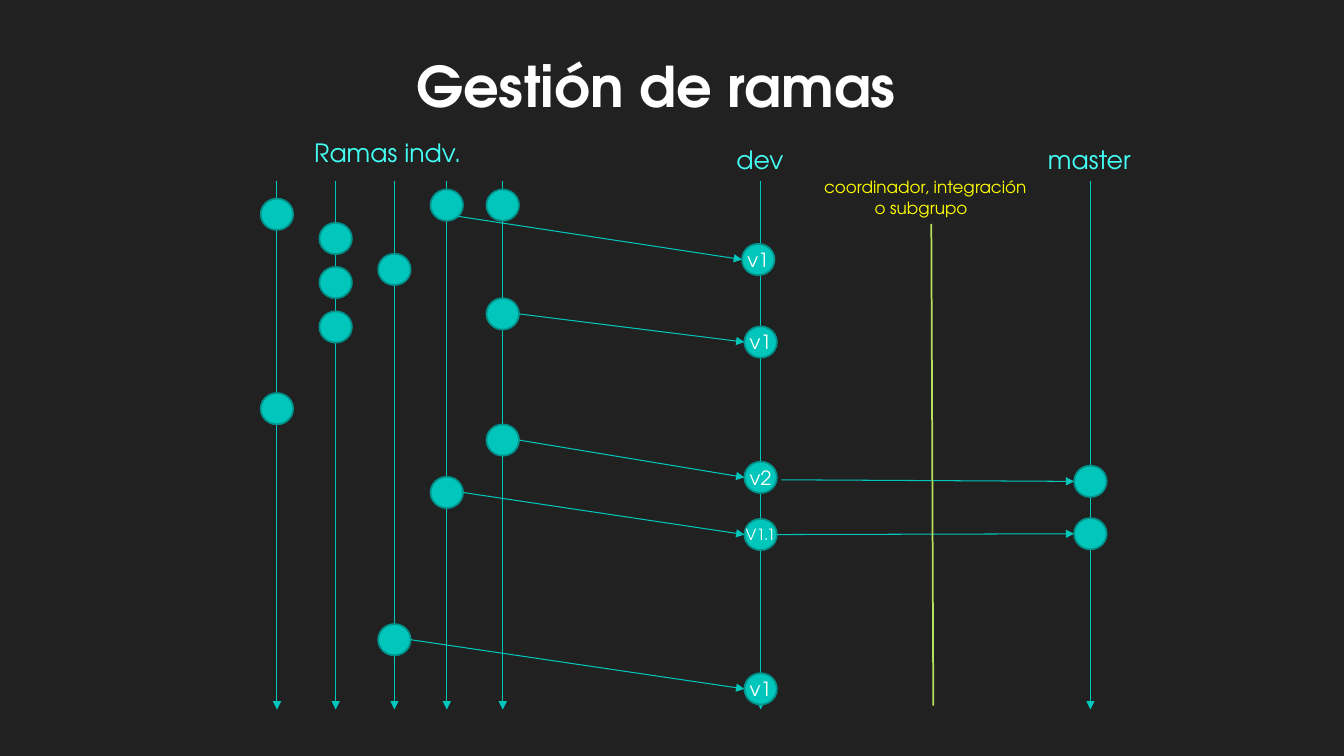
"""Build the branch management slide: parallel branches, commits and merges."""
from typing import NamedTuple

from lxml import etree
from pptx import Presentation
from pptx.dml.color import RGBColor
from pptx.enum.shapes import MSO_CONNECTOR, MSO_SHAPE
from pptx.enum.text import MSO_ANCHOR, MSO_AUTO_SIZE, PP_ALIGN
from pptx.oxml.ns import qn
from pptx.util import Cm, Pt

FONT = "TeX Gyre Adventor"
COLORS = {
    "background": "212121",
    "white": "FFFFFF",
    "branch": "00C6BB",
    "outline": "00928A",
    "heading": "44FFF5",
    "note": "FFFF00",
    "divider": "B6DF5E",
}
BRANCH_X = {"a": 6.98, "b": 8.46, "c": 9.94, "d": 11.26, "e": 12.67,
            "dev": 19.17, "master": 27.48}
BRANCH_TOP, BRANCH_BOTTOM = 4.55, 17.88
COMMIT_W, COMMIT_H = 0.82, 0.79


class Label(NamedTuple):
    lines: tuple[str, ...]
    left: float
    top: float
    width: float
    height: float
    size: int
    color: str
    bold: bool = False
    second_indent: float = 0


class Commit(NamedTuple):
    branch: str
    y: float
    version: str = ""
    size: int = 14
    shift: float = 0

    @property
    def x(self) -> float:
        return BRANCH_X[self.branch] + self.shift


class Merge(NamedTuple):
    source: Commit
    target: Commit
    start_dx: float = COMMIT_W / 2
    start_dy: float = 0


D_FIRST, D_SECOND = Commit("d", 5.17), Commit("d", 12.41)
E_SECOND, E_THIRD = Commit("e", 7.91), Commit("e", 11.09)
C_LAST = Commit("c", 16.12)
DEV = [
    Commit("dev", 6.54, "v1", shift=-0.06),
    Commit("dev", 8.62, "v1"),
    Commit("dev", 12.03, "v2"),
    Commit("dev", 13.47, "V1.1", size=11),
    Commit("dev", 17.36, "v1"),
]
MASTER = [Commit("master", 12.13), Commit("master", 13.45)]
COMMITS = [
    Commit("a", 5.4), Commit("a", 10.3),
    Commit("b", 6.01), Commit("b", 7.12), Commit("b", 8.24),
    Commit("c", 6.79), C_LAST,
    D_FIRST, D_SECOND,
    Commit("e", 5.17), E_SECOND, E_THIRD,
    *DEV, *MASTER,
]
MERGES = [
    Merge(D_FIRST, DEV[0], 0.28, 0.28),
    Merge(E_SECOND, DEV[1]),
    Merge(E_THIRD, DEV[2]),
    Merge(D_SECOND, DEV[3]),
    Merge(C_LAST, DEV[4]),
    Merge(DEV[2], MASTER[0], 0.52, 0.06),
    Merge(DEV[3], MASTER[1]),
]
LABELS = [
    Label(("Gestión de ramas",), 10.24, 1.17, 13.16, 1.96, 40, "white", bold=True),
    Label(("Ramas indv.",), 7.67, 3.33, 4.29, 1.02, 18, "heading"),
    Label(("dev",), 18.31, 3.51, 1.73, 1.02, 18, "heading"),
    Label(("master",), 26.16, 3.51, 2.62, 1.02, 18, "heading"),
    Label(("coordinador, integración", "o subgrupo"),
          20.52, 4.34, 5.87, 1.27, 12, "note", second_indent=1.27),
]


def rgb(name: str) -> RGBColor:
    return RGBColor.from_string(COLORS[name])


def style_font(font, size: int, color: str, bold: bool = False) -> None:
    font.name, font.size, font.bold = FONT, Pt(size), bold
    font.color.rgb = rgb(color)


def draw_line(shapes, start: tuple[float, float], end: tuple[float, float],
              color: str = "branch", width: float = 0.75, arrow: bool = True) -> None:
    line = shapes.add_connector(
        MSO_CONNECTOR.STRAIGHT, *(Cm(value) for value in (*start, *end)))
    line.line.color.rgb = rgb(color)
    line.line.width = Pt(width)
    if arrow:
        etree.SubElement(line.line._get_or_add_ln(), qn("a:tailEnd"), type="triangle")
    etree.SubElement(line._element.spPr, qn("a:effectLst"))


def draw_label(shapes, label: Label) -> None:
    box = shapes.add_textbox(
        Cm(label.left), Cm(label.top), Cm(label.width), Cm(label.height))
    frame = box.text_frame
    frame.word_wrap = False
    frame.auto_size = MSO_AUTO_SIZE.SHAPE_TO_FIT_TEXT
    frame.text = "\n".join(label.lines)
    for paragraph in frame.paragraphs:
        paragraph.alignment = PP_ALIGN.LEFT
        style_font(paragraph.runs[0].font, label.size, label.color, label.bold)
    if label.second_indent:
        properties = frame.paragraphs[1]._p.get_or_add_pPr()
        properties.set("marL", str(Cm(label.second_indent)))


def draw_commit(shapes, commit: Commit) -> None:
    circle = shapes.add_shape(
        MSO_SHAPE.OVAL, Cm(commit.x - COMMIT_W / 2), Cm(commit.y - COMMIT_H / 2),
        Cm(COMMIT_W), Cm(COMMIT_H))
    circle.shadow.inherit = False
    circle.fill.solid()
    circle.fill.fore_color.rgb = rgb("branch")
    circle.line.color.rgb = rgb("outline")
    circle.line.width = Pt(1.25)
    if commit.version:
        frame = circle.text_frame
        frame.margin_left = frame.margin_right = 0
        frame.margin_top = frame.margin_bottom = 0
        frame.word_wrap = False
        frame.vertical_anchor = MSO_ANCHOR.MIDDLE
        frame.text = commit.version
        frame.paragraphs[0].alignment = PP_ALIGN.CENTER
        style_font(frame.paragraphs[0].runs[0].font, commit.size, "white")


def draw_merge(shapes, merge: Merge) -> None:
    source, target = merge.source, merge.target
    draw_line(shapes, (source.x + merge.start_dx, source.y + merge.start_dy),
              (target.x - COMMIT_W / 2, target.y))


def main() -> None:
    deck = Presentation()
    deck.slide_width, deck.slide_height = Cm(33.87), Cm(19.05)
    slide = deck.slides.add_slide(deck.slide_layouts[6])
    slide.background.fill.solid()
    slide.background.fill.fore_color.rgb = rgb("background")
    for x in BRANCH_X.values():
        draw_line(slide.shapes, (x, BRANCH_TOP), (x, BRANCH_BOTTOM))
    for commit in COMMITS:
        draw_commit(slide.shapes, commit)
    for merge in MERGES:
        draw_merge(slide.shapes, merge)
    draw_line(slide.shapes, (23.47, 5.64), (23.52, 17.78), "divider", 1.25, arrow=False)
    for label in LABELS:
        draw_label(slide.shapes, label)
    deck.save("out.pptx")


main()
